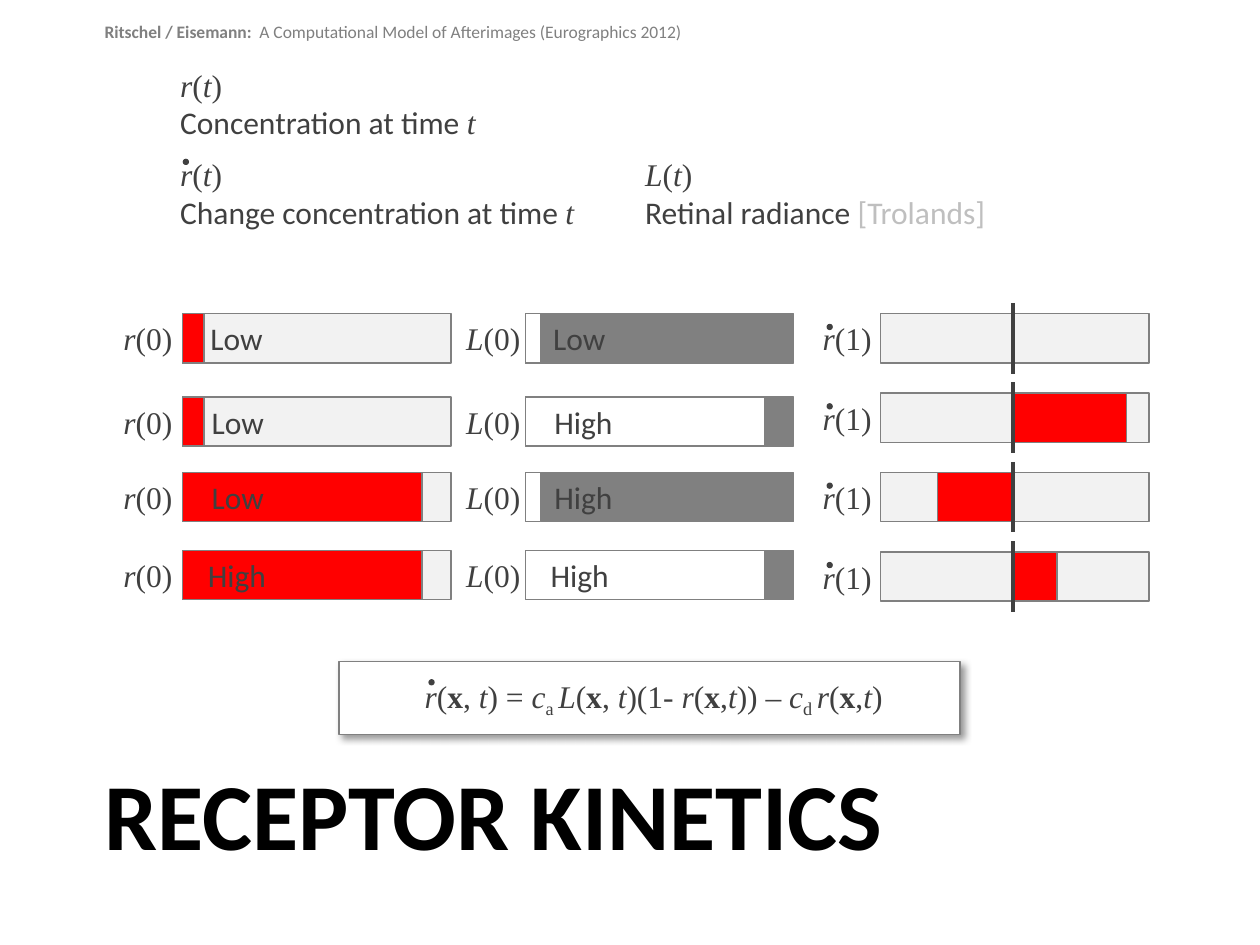
from dataclasses import dataclass
from typing import NamedTuple

from lxml.etree import SubElement
from pptx import Presentation
from pptx.dml.color import RGBColor
from pptx.enum.shapes import MSO_CONNECTOR as Connector, MSO_SHAPE as Preset
from pptx.oxml.ns import qn
from pptx.util import Inches, Pt

COLUMNS, ROWS = 100, 75  # the slide's layout grid


@dataclass(frozen=True)
class Theme:
    sans: str = "Calibri"
    serif: str = "Times New Roman"
    ink: str = "404040"
    black: str = "000000"
    gray: str = "808080"
    muted: str = "BFBFBF"
    track: str = "F2F2F2"
    white: str = "FFFFFF"
    red: str = "FF0000"
    header_size: float = 10
    body_size: float = 18
    title_size: float = 54
    outline: float = 0.75
    axis: float = 2


class Box(NamedTuple):
    left: float
    top: float
    width: float
    height: float


class Gauge(NamedTuple):
    """A column of bars with the symbol written in front of each."""
    symbol: str
    symbol_left: float
    bar_left: float
    track: str
    fill: str


class Case(NamedTuple):
    top: float
    note_inset: float
    receptor_fill: float
    receptor_note: str
    light_fill: float
    light_note: str
    rate: float  # signed length from the zero axis


THEME = Theme()
BAR_WIDTH, BAR_HEIGHT = 21.3, 3.9
SYMBOL_WIDTH, NOTE_WIDTH, LABEL_DROP = 4.6, 5.3, 0.45
RATE_TOP, RATE_PITCH, ZERO_AXIS = 24.9, 6.3, 80.4
AXIS_OVERHANG = 0.85
TEXT_LEFT, TEXT_WIDTH = 8.3, 85.8

RECEPTOR = Gauge("/r|(0)", 9.8, 14.5, THEME.track, THEME.red)
LIGHT = Gauge("/L|(0)", 37, 41.7, THEME.gray, THEME.white)
RATE = Gauge("/r|(1)", 65.3, 69.9, THEME.track, THEME.red)

CASES = [
    Case(24.9, 2.2, 1.7, "Low", 1.2, "Low", 0),
    Case(31.5, 2.3, 1.7, "Low", 19, "High", 9),
    Case(37.5, 2.3, 19, "Low", 1.2, "High", -6),
    Case(43.7, 2, 19, "High", 19, "High", 3.5),
]

DEFINITIONS = [
    (Box(14.3, 5.2, 26, 6.1), "/r|(|/t|)|\n|~Concentration at time |/t"),
    (Box(14.3, 12.3, 34, 6.1), "/r|(|/t|)|\n|~Change concentration at time |/t"),
    (Box(51.2, 12.3, 30, 6.1), "/L|(|/t|)|\n|~Retinal radiance |^[Trolands]"),
]
FORMULA = ("/r|(|*x|, |/t|) = |/c|_a |/L|(|*x|, |/t|)(1- |/r|(|*x|,|/t|)) – "
           "|/c|_d |/r|(|*x|,|/t|)")

presentation = Presentation()
presentation.slide_width, presentation.slide_height = Inches(10), Inches(7.5)
slide = presentation.slides.add_slide(presentation.slide_layouts[6])


def across(columns: float) -> int:
    return round(presentation.slide_width * columns / COLUMNS)


def down(rows: float) -> int:
    return round(presentation.slide_height * rows / ROWS)


def place(box: Box) -> tuple[int, int, int, int]:
    return across(box.left), down(box.top), across(box.width), down(box.height)


def add_text(box: Box, markup: str, size: float = THEME.body_size,
             color: str = THEME.ink, font: str = THEME.serif) -> None:
    """Write segments split by |: / italic, * bold, _ subscript, ~ sans, ^ muted sans."""
    frame = slide.shapes.add_textbox(*place(box)).text_frame
    frame.margin_left = frame.margin_top = frame.margin_right = frame.margin_bottom = 0
    frame.word_wrap = True
    paragraph = frame.paragraphs[0]
    paragraph.font.name, paragraph.font.size = font, Pt(size)
    paragraph.font.color.rgb = RGBColor.from_string(color)
    for segment in markup.split("|"):
        if segment == "\n":
            paragraph.add_line_break()
            continue
        mark = segment[0] if segment[0] in "/*_~^" else ""
        run = paragraph.add_run()
        run.text = segment[len(mark):]
        if mark == "/":
            run.font.italic = True
        elif mark == "*":
            run.font.bold = True
        elif mark == "_":
            run.font._element.set("baseline", "-25000")
        elif mark:
            run.font.name = THEME.sans
        if mark == "^":
            run.font.color.rgb = RGBColor.from_string(THEME.muted)


def add_bar(box: Box, color: str):
    bar = slide.shapes.add_shape(Preset.RECTANGLE, *place(box))
    bar.shadow.inherit = False
    bar.fill.solid()
    bar.fill.fore_color.rgb = RGBColor.from_string(color)
    bar.line.color.rgb = RGBColor.from_string(THEME.gray)
    bar.line.width = Pt(THEME.outline)
    return bar


def add_derivative_dot(left: float, top: float) -> None:
    dot = slide.shapes.add_shape(Preset.OVAL, *place(Box(left, top, 0.5, 0.5)))
    dot.shadow.inherit = False
    dot.fill.solid()
    dot.fill.fore_color.rgb = RGBColor.from_string(THEME.ink)
    dot.line.fill.background()


def add_gauge(gauge: Gauge, top: float, start: float, length: float) -> None:
    add_bar(Box(gauge.bar_left, top, BAR_WIDTH, BAR_HEIGHT), gauge.track)
    if length:
        add_bar(Box(start, top, length, BAR_HEIGHT), gauge.fill)
    add_text(Box(gauge.symbol_left, top + LABEL_DROP, SYMBOL_WIDTH, 3), gauge.symbol)


def add_level(gauge: Gauge, case: Case, length: float, note: str) -> None:
    add_gauge(gauge, case.top, gauge.bar_left, length)
    add_text(Box(gauge.bar_left + case.note_inset, case.top + LABEL_DROP, NOTE_WIDTH, 3),
             note, font=THEME.sans)


def add_rate(top: float, rate: float) -> None:
    add_gauge(RATE, top, ZERO_AXIS + min(rate, 0), abs(rate))
    add_derivative_dot(RATE.symbol_left + 0.3, top + 0.8)
    axis = slide.shapes.add_connector(
        Connector.STRAIGHT, across(ZERO_AXIS), down(top - AXIS_OVERHANG),
        across(ZERO_AXIS), down(top + BAR_HEIGHT + AXIS_OVERHANG))
    axis.line.color.rgb = RGBColor.from_string(THEME.ink)
    axis.line.width = Pt(THEME.axis)
    SubElement(axis._element.spPr, qn("a:effectLst"))


def add_formula() -> None:
    panel = add_bar(Box(26.9, 52.5, 49.3, 5.8), THEME.white)
    effects = panel._element.spPr.find(qn("a:effectLst"))
    shadow = SubElement(effects, qn("a:outerShdw"), blurRad=str(Pt(4)), dist=str(Pt(3)),
                        dir="2700000", algn="tl", rotWithShape="0")
    color = SubElement(shadow, qn("a:srgbClr"), val=THEME.black)
    SubElement(color, qn("a:alpha"), val="40000")
    add_derivative_dot(34, 53.9)
    add_text(Box(33.7, 53.7, 39, 3), FORMULA)


add_text(Box(TEXT_LEFT, 1.7, TEXT_WIDTH, 3), "*Ritschel / Eisemann:  |A Computational "
         "Model of Afterimages (Eurographics 2012)", THEME.header_size, THEME.gray, THEME.sans)
for definition_box, definition in DEFINITIONS:
    add_text(definition_box, definition)
add_derivative_dot(14.5, 12.6)
for index, row in enumerate(CASES):
    add_level(RECEPTOR, row, row.receptor_fill, row.receptor_note)
    add_level(LIGHT, row, row.light_fill, row.light_note)
    add_rate(RATE_TOP + index * RATE_PITCH, row.rate)
add_formula()
add_text(Box(TEXT_LEFT, 60, TEXT_WIDTH, 13.9), "*RECEPTOR KINETICS", THEME.title_size,
         THEME.black, THEME.sans)

presentation.save("out.pptx")
